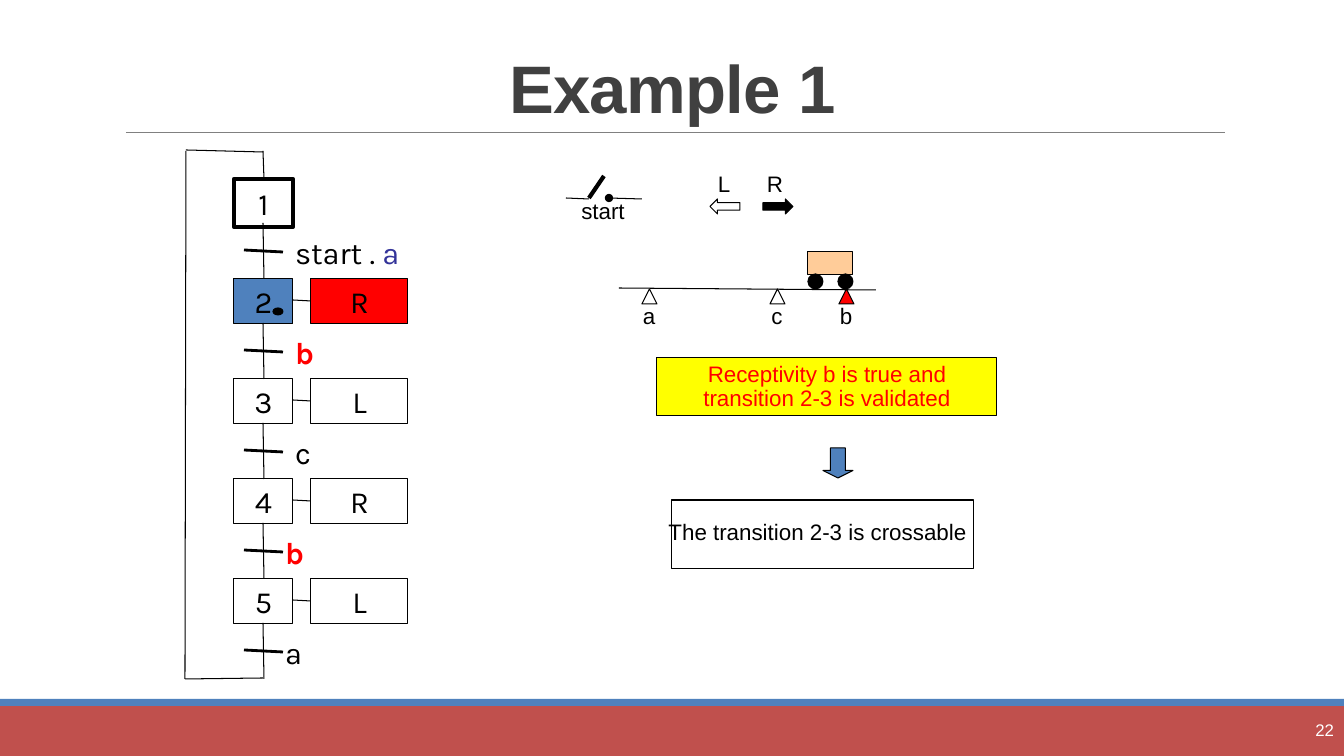
"""Draw a slide on a sequence chart with five steps and the cart that it drives."""
from dataclasses import dataclass

from lxml import etree
from pptx import Presentation
from pptx.dml.color import RGBColor
from pptx.enum.shapes import MSO_CONNECTOR, MSO_SHAPE
from pptx.enum.text import MSO_ANCHOR, MSO_AUTO_SIZE, PP_ALIGN
from pptx.oxml.ns import qn
from pptx.util import Emu, Pt

RECT, OVAL, TRI = MSO_SHAPE.RECTANGLE, MSO_SHAPE.OVAL, MSO_SHAPE.ISOSCELES_TRIANGLE
EAST, WEST, DOWN = MSO_SHAPE.RIGHT_ARROW, MSO_SHAPE.LEFT_ARROW, MSO_SHAPE.DOWN_ARROW
LEFT, MID, RIGHT = PP_ALIGN.LEFT, PP_ALIGN.CENTER, PP_ALIGN.RIGHT
CENTRE, BOTTOM = MSO_ANCHOR.MIDDLE, MSO_ANCHOR.BOTTOM
STRAIGHT = MSO_CONNECTOR.STRAIGHT
FIXED = MSO_AUTO_SIZE.NONE
WIDE, HIGH = 1344, 756
SCALE = 12192000 / WIDE
PITCH = 100


@dataclass(frozen=True)
class Theme:
    """Colours, fonts, type sizes and line widths."""
    black: str = "000000"
    white: str = "FFFFFF"
    red: str = "FF0000"
    blue: str = "4F81BD"
    brick: str = "C0504D"
    grey: str = "808080"
    dark: str = "404040"
    navy: str = "333399"
    peach: str = "FFCC99"
    yellow: str = "FFFF00"
    sans: str = "Arial"
    chart: str = "Karla"
    head: float = 48
    step: float = 22
    body: float = 16
    page: float = 12
    lead: tuple = ((22, 26.1), (16, 17.1), (12, 14))
    hair: float = 0.5
    thin: float = 0.75
    bold: float = 2
    thick: float = 3


def px(n):
    """Turn px into EMU."""
    return Emu(round(n * SCALE))


def rgb(code):
    """Turn a hex code into a colour."""
    return RGBColor.from_string(code)


class Board:
    """The current slide and its style."""

    def __init__(self, slide, theme):
        """Keep the slide and the theme."""
        self.slide, self.theme = slide, theme

    def run(self, para, text, size, color, font, bold=False):
        """Add one run to a paragraph."""
        run = para.add_run()
        run.text = text
        run.font.size, run.font.name, run.font.bold = Pt(size), font, bold
        run.font.color.rgb = rgb(color)
        return run

    def words(self, frame, runs, size, font, align=MID, inset=0, wrap=True):
        """Fill a text frame with (text, colour, bold) runs."""
        frame.word_wrap, frame.auto_size = wrap, FIXED
        frame.vertical_anchor = CENTRE
        frame.margin_left = frame.margin_right = px(inset)
        frame.margin_top = frame.margin_bottom = 0
        para = frame.paragraphs[0]
        para.alignment = align
        para.line_spacing = Pt(dict(self.theme.lead)[size])
        for text, color, bold in runs:
            self.run(para, text, size, color, font, bold)

    def title(self, text, box):
        """Place and format the title."""
        head = self.slide.shapes.title
        head.left, head.top, head.width, head.height = map(px, box)
        frame = head.text_frame
        frame.vertical_anchor, frame.auto_size = BOTTOM, FIXED
        para = frame.paragraphs[0]
        para.alignment, para.line_spacing = MID, 0.85
        run = self.run(para, text, self.theme.head, self.theme.dark,
                       self.theme.sans, True)
        run.font._element.set("spc", "-50")

    def label(self, runs, box, size, font, align=MID):
        """Add a text box without margins."""
        note = self.slide.shapes.add_textbox(*map(px, box))
        self.words(note.text_frame, runs, size, font, align)

    def shape(self, kind, box, fill=None, line=Theme.black, width=Theme.thin):
        """Add a preset shape."""
        item = self.slide.shapes.add_shape(kind, *map(px, box))
        item.shadow.inherit = False
        if fill:
            item.fill.solid()
            item.fill.fore_color.rgb = rgb(fill)
        else:
            item.fill.background()
        if line:
            item.line.color.rgb = rgb(line)
            item.line.width = Pt(width)
        else:
            item.line.fill.background()
        return item

    def line(self, ends, width=Theme.thin, color=Theme.black, dot=False):
        """Add a straight line, with a dot at its start if asked."""
        wire = self.slide.shapes.add_connector(STRAIGHT, *map(px, ends))
        wire.line.color.rgb = rgb(color)
        wire.line.width = Pt(width)
        props = wire._element.spPr
        if dot:
            etree.SubElement(props.find(qn("a:ln")), qn("a:headEnd"), type="oval")
        etree.SubElement(props, qn("a:effectLst"))


def frame(board):
    """Draw the title, its rule, the footer and the page number."""
    t = board.theme
    board.shape(RECT, (0, 706, WIDE, 50), t.brick, None)
    board.shape(RECT, (0, 699, WIDE, 7), t.blue, None)
    board.line((126, 132, 1225, 132), t.hair, t.grey)
    board.title("Example 1", (118, 17, 1109, 115))
    board.label([("22", t.white, False)], (1200, 710, 134, 40), t.page, t.sans, RIGHT)


def steps(board):
    """Draw the steps, their actions, the transitions and the loop."""
    t = board.theme
    a, b, c = ("a", t.black, False), ("b", t.red, True), ("c", t.black, False)
    rows = [
        (None, 295, [("start . ", t.black, False), ("a", t.navy, False)]),
        ("R", 295, [b]),
        ("L", 295, [c]),
        ("R", 285, [b]),
        ("L", 285, [a]),
    ]
    for i, (act, x, gate) in enumerate(rows):
        y = 179 + i * PITCH
        live = i == 1
        box = (234, y, 59, 45 if act else 48)
        step = board.shape(RECT, box, t.blue if live else None,
                           width=t.thin if act else t.thick)
        board.words(step.text_frame, [(str(i + 1), t.black, False)], t.step, t.chart)
        if act:
            board.line((293, y + 21, 311, y + 22))
            task = board.shape(RECT, (311, y, 97, 45), t.red if live else None)
            board.words(task.text_frame, [(act, t.black, False)], t.step, t.chart)
        board.line((263, y + 44, 264, y + PITCH))
        board.line((244, y + 71, 283, y + 73), t.bold)
        board.label(gate, (x, y + 55, 129, 36), t.step, t.chart, LEFT)
    for ends in ((263, 678, 185, 679), (185, 679, 186, 151),
                 (186, 150, 263, 152), (263, 151, 264, 179)):
        board.line(ends)
    board.shape(OVAL, (273, 308, 10, 7), t.black)


def cart(board):
    """Draw the switch, the direction arrows, the track and the cart."""
    t = board.theme
    board.line((589, 198, 604, 176), t.thick)
    board.line((566, 198, 589, 199))
    board.line((609, 198, 642, 199), dot=True)
    board.shape(WEST, (710, 199, 30, 15))
    board.shape(EAST, (763, 199, 30, 15), t.black)
    board.line((619, 288, 876, 290))
    board.shape(RECT, (808, 252, 45, 23), t.peach)
    for x in (808, 838):
        board.shape(OVAL, (x, 274, 15, 15), t.black)
    for x, fill in ((649, None), (777, None), (846, t.red)):
        board.shape(TRI, (x - 7, 289, 15, 15), fill)
    for text, x, y in (("start", 603, 200), ("L", 724, 173), ("R", 775, 173),
                       ("a", 649, 305), ("c", 777, 305), ("b", 846, 305)):
        board.label([(text, t.black, False)], (x - 34, y, 68, 24), t.body, t.sans)


def notes(board):
    """Draw the condition, the arrow and the result."""
    t = board.theme
    cause = board.shape(RECT, (657, 358, 340, 58), t.yellow)
    text = "Receptivity b is true and transition 2-3 is validated"
    board.words(cause.text_frame, [(text, t.red, False)], t.body, t.sans, inset=10)
    arrow = board.shape(DOWN, (823, 448, 30, 30), t.blue)
    arrow.adjustments[1] = 0.25
    board.shape(RECT, (672, 500, 302, 69))
    board.label([("The transition 2-3 is crossable", t.black, False)],
                (661, 521, 313, 24), t.body, t.sans)


def main():
    """Build and save the slide."""
    deck = Presentation()
    deck.slide_width, deck.slide_height = px(WIDE), px(HIGH)
    board = Board(deck.slides.add_slide(deck.slide_layouts[5]), Theme())
    for draw in (frame, cart, steps, notes):
        draw(board)
    deck.save("out.pptx")


if __name__ == "__main__":
    main()
